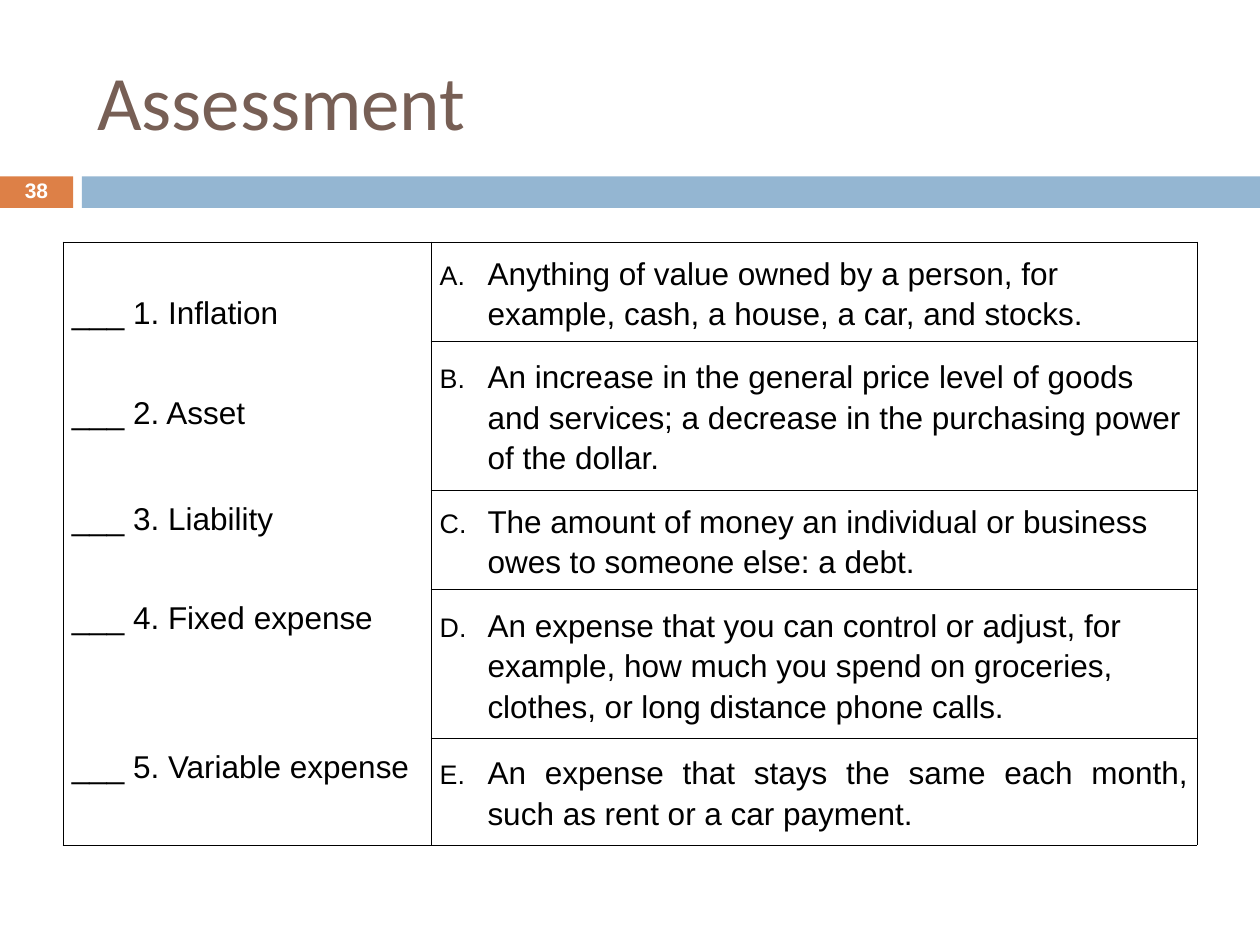
from lxml.etree import SubElement
from pptx import Presentation
from pptx.dml.color import RGBColor
from pptx.enum.shapes import MSO_SHAPE
from pptx.enum.text import MSO_ANCHOR, PP_ALIGN
from pptx.oxml.ns import qn
from pptx.util import Inches, Pt

BLACK = RGBColor(0x00, 0x00, 0x00)
WHITE = RGBColor(0xFF, 0xFF, 0xFF)
BROWN = RGBColor(0x77, 0x5F, 0x55)
ORANGE = RGBColor(0xDD, 0x80, 0x47)
BLUE = RGBColor(0x94, 0xB6, 0xD2)

# Content
TITLE = "Assessment"
SLIDE_NUMBER = "38"
# Term, its top margin, definition, alignment of the definition
QUESTIONS = [
    ("___ 1. Inflation", 0.39,
     "Anything of value owned by a person, for example, cash, a house, a car, and stocks.",
     PP_ALIGN.LEFT),
    ("___ 2. Asset", 0.39,
     "An increase in the general price level of goods and services; "
     "a decrease in the purchasing power of the dollar.", PP_ALIGN.LEFT),
    ("___ 3. Liability", 0.05,
     "The amount of money an individual or business owes to someone else: a debt.",
     PP_ALIGN.LEFT),
    ("___ 4. Fixed expense", 0.05,
     "An expense that you can control or adjust, for example, how much you spend "
     "on groceries, clothes, or long distance phone calls.", PP_ALIGN.LEFT),
    ("___ 5. Variable expense", 0.05,
     "An expense that stays the same each month, such as rent or a car payment.",
     PP_ALIGN.JUSTIFY),
]
BARS = [(0, 0.58, ORANGE), (0.65, 9.35, BLUE)]
COLUMN_WIDTHS = [2.92, 6.08]
ROW_HEIGHTS = [0.79, 1.18, 0.79, 1.18, 0.41, 0.39]

# Formats
TITLE_FONT = {"name": "Calibri", "size": Pt(44), "bold": False}
NUMBER_FONT = {"name": "Arial", "size": Pt(12), "bold": True}
TABLE_FONT = {"name": "Arial", "size": Pt(18), "bold": False}
CELL_FORMAT = {"margin_left": Inches(0.07), "margin_right": Inches(0.07),
               "margin_top": Inches(0.05), "margin_bottom": Inches(0.05)}


def set_format(target, values):
    for name, value in values.items():
        setattr(target, name, value)


def style_paragraph(paragraph, font, color, alignment, spacing=1.0):
    paragraph.alignment = alignment
    paragraph.line_spacing = spacing
    set_format(paragraph.font, font)
    paragraph.font.color.rgb = color


def add_letter(paragraph, number):
    properties = paragraph._p.get_or_add_pPr()
    properties.set("marL", str(Inches(0.38)))
    properties.set("indent", str(Inches(-0.38)))
    color = SubElement(properties, qn("a:buClr"))
    SubElement(color, qn("a:srgbClr"), val=str(BLACK))
    SubElement(properties, qn("a:buSzPct"), val="85000")
    SubElement(properties, qn("a:buFont"), typeface="Arial")
    SubElement(properties, qn("a:buAutoNum"), type="alphaUcPeriod", startAt=str(number))


def set_borders(cell, visible):
    properties = cell._tc.get_or_add_tcPr()
    for side in "LRTB":
        line = SubElement(properties, qn(f"a:ln{side}"), w=str(Pt(0.45)))
        if side in visible:
            fill = SubElement(line, qn("a:solidFill"))
            SubElement(fill, qn("a:srgbClr"), val=str(BLACK))
        else:
            SubElement(line, qn("a:noFill"))


presentation = Presentation()
presentation.slide_width, presentation.slide_height = Inches(10), Inches(7.5)
slide = presentation.slides.add_slide(presentation.slide_layouts[5])

# Bars below the title
for left, width, color in BARS:
    bar = slide.shapes.add_shape(MSO_SHAPE.RECTANGLE, Inches(left), Inches(1.4),
                                 Inches(width), Inches(0.25))
    bar.shadow.inherit = False
    bar.fill.solid()
    bar.fill.fore_color.rgb = color
    bar.line.fill.background()

# Title
title = slide.shapes.title
set_format(title, {"left": Inches(0.67), "top": Inches(0.25),
                   "width": Inches(8.92), "height": Inches(1.08)})
title.text_frame.text = TITLE
title.text_frame.vertical_anchor = MSO_ANCHOR.MIDDLE
style_paragraph(title.text_frame.paragraphs[0], TITLE_FONT, BROWN, PP_ALIGN.LEFT)

# Slide number
number_box = slide.shapes.add_textbox(0, Inches(1.39), Inches(0.58), Inches(0.27))
number_frame = number_box.text_frame
number_frame.word_wrap = True
number_frame.vertical_anchor = MSO_ANCHOR.MIDDLE
number_frame.text = SLIDE_NUMBER
style_paragraph(number_frame.paragraphs[0], NUMBER_FONT, WHITE, PP_ALIGN.CENTER, 0.8)

# Matching table
table = slide.shapes.add_table(len(ROW_HEIGHTS), len(COLUMN_WIDTHS), Inches(0.5), Inches(1.92),
                               Inches(sum(COLUMN_WIDTHS)), Inches(sum(ROW_HEIGHTS))).table
table.first_row = table.horz_banding = False
for column, width in zip(table.columns, COLUMN_WIDTHS):
    column.width = Inches(width)
for row, height in zip(table.rows, ROW_HEIGHTS):
    row.height = Inches(height)

last_row = len(ROW_HEIGHTS) - 1
for row in range(len(ROW_HEIGHTS)):
    term_sides = "LR" + ("T" if row == 0 else "") + ("B" if row == last_row else "")
    for column, sides in enumerate((term_sides, "LRTB")):
        cell = table.cell(row, column)
        set_format(cell, CELL_FORMAT)
        set_borders(cell, sides)
        cell.fill.background()
table.cell(last_row - 1, 1).merge(table.cell(last_row, 1))

for row, (term, top_margin, definition, alignment) in enumerate(QUESTIONS):
    term_cell, definition_cell = table.cell(row, 0), table.cell(row, 1)
    term_cell.text = term
    term_cell.margin_top = Inches(top_margin)
    style_paragraph(term_cell.text_frame.paragraphs[0], TABLE_FONT, BLACK,
                    PP_ALIGN.JUSTIFY, 1.15)
    definition_cell.text = definition
    definition_cell.vertical_anchor = MSO_ANCHOR.MIDDLE
    paragraph = definition_cell.text_frame.paragraphs[0]
    add_letter(paragraph, row + 1)
    style_paragraph(paragraph, TABLE_FONT, BLACK, alignment, 1.15)

presentation.save("out.pptx")
